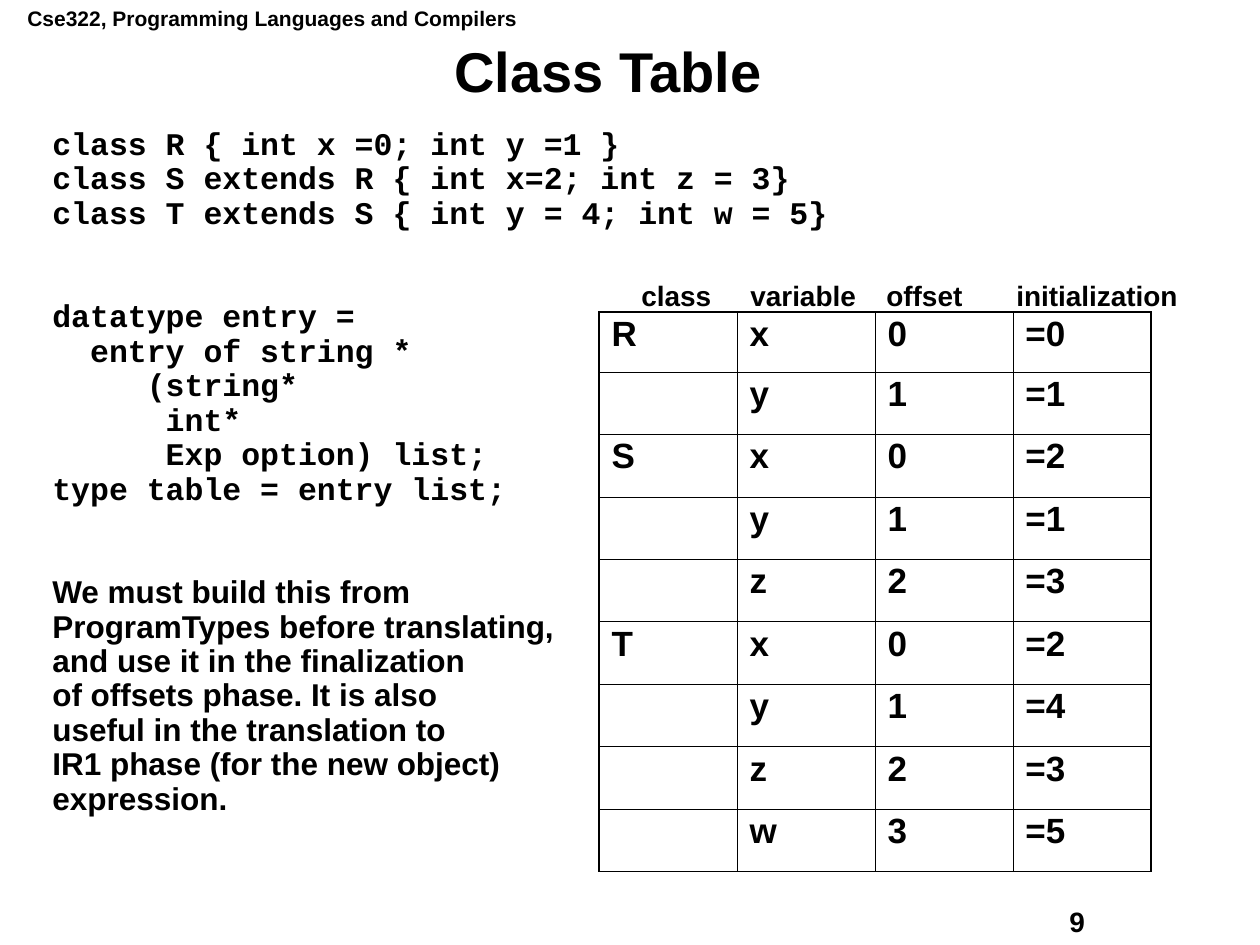
from dataclasses import dataclass

from lxml import etree
from pptx import Presentation
from pptx import util as u
from pptx.dml import color
from pptx.enum import text
from pptx.oxml import ns

PX = u.Inches(1) / 126


def px(length):
    return u.Emu(round(length * PX))


@dataclass(frozen=True)
class Theme:
    ink: str = "000000"
    sans: str = "Arial"
    mono: str = "Courier New"
    course: int = 12
    label: int = 16
    body: int = 18
    cell: int = 20
    title: int = 32
    body_leading: float = 19.7
    outer_border: float = 1.08
    inner_border: float = 0.45


class SlideWriter:
    def __init__(self, slide, theme):
        self.slide = slide
        self.theme = theme

    def style(self, paragraph, size, face=None):
        font = paragraph.font
        font.name = face or self.theme.sans
        font.size = u.Pt(size)
        font.bold = True
        font.color.rgb = color.RGBColor.from_string(self.theme.ink)

    def frame(self, left, top, width, height):
        box = self.slide.shapes.add_textbox(px(left), px(top), px(width), px(height))
        box.text_frame.word_wrap = True
        return box.text_frame

    def line(self, words, area, size):
        frame = self.frame(*area)
        paragraph = frame.paragraphs[0]
        paragraph.text = words
        self.style(paragraph, size)
        return frame

    def title(self, words, area):
        frame = self.line(words, area, self.theme.title)
        frame.vertical_anchor = text.MSO_ANCHOR.MIDDLE
        frame.paragraphs[0].alignment = text.PP_ALIGN.CENTER
        frame.paragraphs[0].line_spacing = 0.9

    def column_labels(self, labels, stops, area):
        """Write the labels on one line, all but the first at a tab stop."""
        frame = self.frame(*area)
        paragraph = frame.paragraphs[0]
        paragraph.text = "\t".join(labels)
        tabs = etree.SubElement(paragraph._p.get_or_add_pPr(), ns.qn("a:tabLst"))
        for stop in stops:
            etree.SubElement(tabs, ns.qn("a:tab"), pos=str(px(stop)), algn="l")
        self.style(paragraph, self.theme.label)

    def body(self, groups, area):
        """Stack (font, lines) groups, two lines' height apart."""
        frame = self.frame(*area)
        leading = self.theme.body_leading
        for group, (face, lines) in enumerate(groups):
            for row, words in enumerate(lines):
                first = group == row == 0
                paragraph = frame.paragraphs[0] if first else frame.add_paragraph()
                paragraph.text = words
                paragraph.line_spacing = u.Pt(leading)
                paragraph.space_before = u.Pt(2 * leading if group and row == 0 else 0)
                self.style(paragraph, self.theme.body, face)

    def border(self, cell, side, width):
        edge = etree.SubElement(cell._tc.get_or_add_tcPr(), ns.qn(f"a:ln{side}"),
                                w=str(u.Pt(width)))
        fill = etree.SubElement(edge, ns.qn("a:solidFill"))
        etree.SubElement(fill, ns.qn("a:srgbClr"), val=self.theme.ink)

    def table(self, rows, left, top, column_width, first_height, row_height):
        last_row, last_column = len(rows) - 1, len(rows[0]) - 1
        grid = self.slide.shapes.add_table(
            len(rows), len(rows[0]), px(left), px(top),
            px(column_width * len(rows[0])),
            px(first_height + row_height * last_row)).table
        grid.first_row = grid.horz_banding = False
        for column in grid.columns:
            column.width = px(column_width)
        for r, values in enumerate(rows):
            grid.rows[r].height = px(row_height if r else first_height)
            for c, value in enumerate(values):
                cell = grid.cell(r, c)
                outer = {"L": c == 0, "R": c == last_column,
                         "T": r == 0, "B": r == last_row}
                for side, is_outer in outer.items():
                    self.border(cell, side, self.theme.outer_border if is_outer
                                else self.theme.inner_border)
                cell.fill.background()
                paragraph = cell.text_frame.paragraphs[0]
                paragraph.text = value
                paragraph.line_spacing = 0.9
                self.style(paragraph, self.theme.cell)


CLASSES = [
    "class R { int x =0; int y =1 }",
    "class S extends R { int x=2; int z = 3}",
    "class T extends S { int y = 4; int w = 5}",
]
DATATYPE = [
    "datatype entry =",
    "  entry of string *",
    "     (string*",
    "      int*",
    "      Exp option) list;",
    "type table = entry list;",
]
EXPLANATION = [
    "We must build this from",
    "ProgramTypes before translating,",
    "and use it in the finalization",
    "of offsets phase. It is also",
    "useful in the translation to",
    "IR1 phase (for the new object)",
    "expression.",
]
CLASS_FIELDS = {
    "R": [("x", 0), ("y", 1)],
    "S": [("x", 2), ("y", 1), ("z", 3)],
    "T": [("x", 2), ("y", 4), ("z", 3), ("w", 5)],
}


def class_rows():
    """Name each class once; a field's offset is its place in the class."""
    return [("" if offset else name, field, str(offset), f"={initial}")
            for name, fields in CLASS_FIELDS.items()
            for offset, (field, initial) in enumerate(fields)]


def main():
    deck = Presentation()
    deck.slide_width, deck.slide_height = px(1260), px(945)
    theme = Theme()
    writer = SlideWriter(deck.slides.add_slide(deck.slide_layouts[6]), theme)

    writer.line("Cse322, Programming Languages and Compilers",
                (15, -1, 520, 38), theme.course)
    writer.line("9", (1057, 898, 160, 45), theme.label)
    writer.title("Class Table", (39, 39, 1138, 71))
    writer.body([(theme.mono, CLASSES), (theme.mono, DATATYPE),
                 (theme.sans, EXPLANATION)], (40, 121, 819, 764))
    writer.table(class_rows(), left=599, top=312, column_width=138,
                 first_height=60, row_height=62.5)
    writer.column_labels(["class", "variable", "offset", "initialization"],
                         [109, 245, 375], (629, 272, 580, 47))
    deck.save("out.pptx")


if __name__ == "__main__":
    main()
